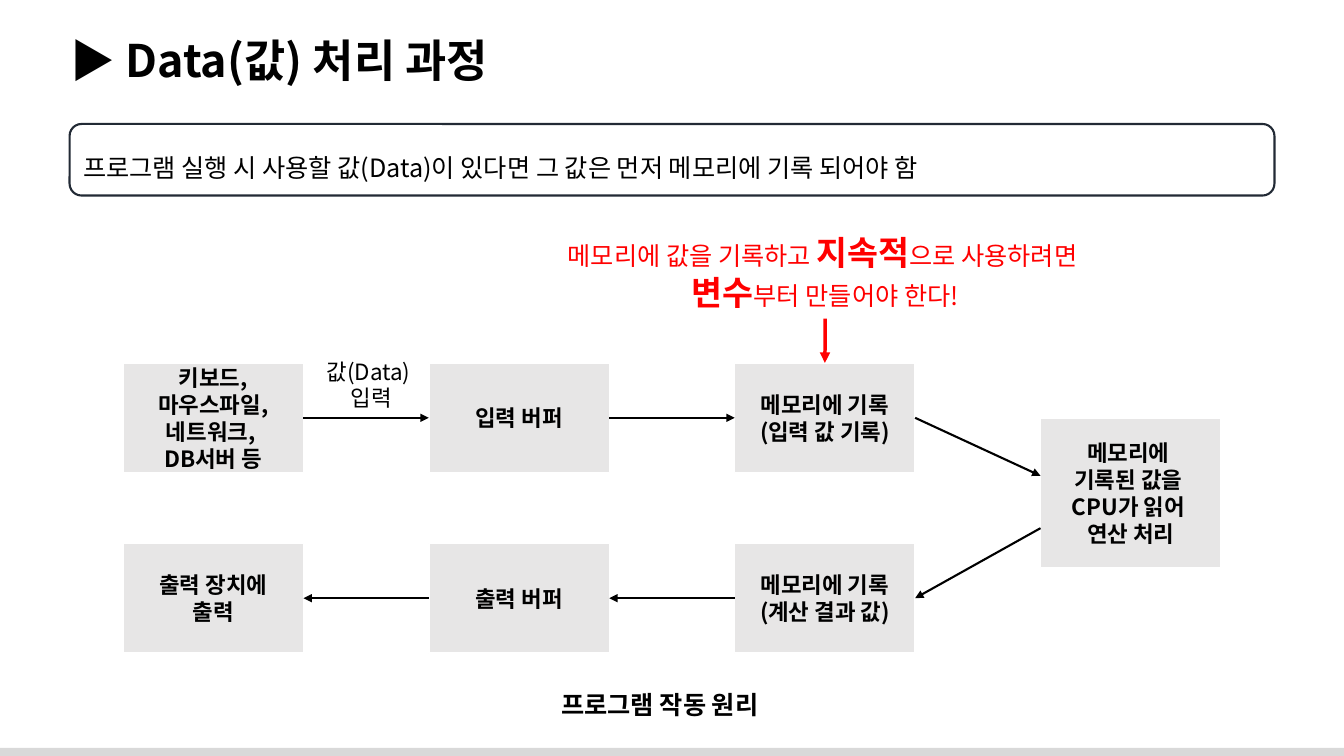
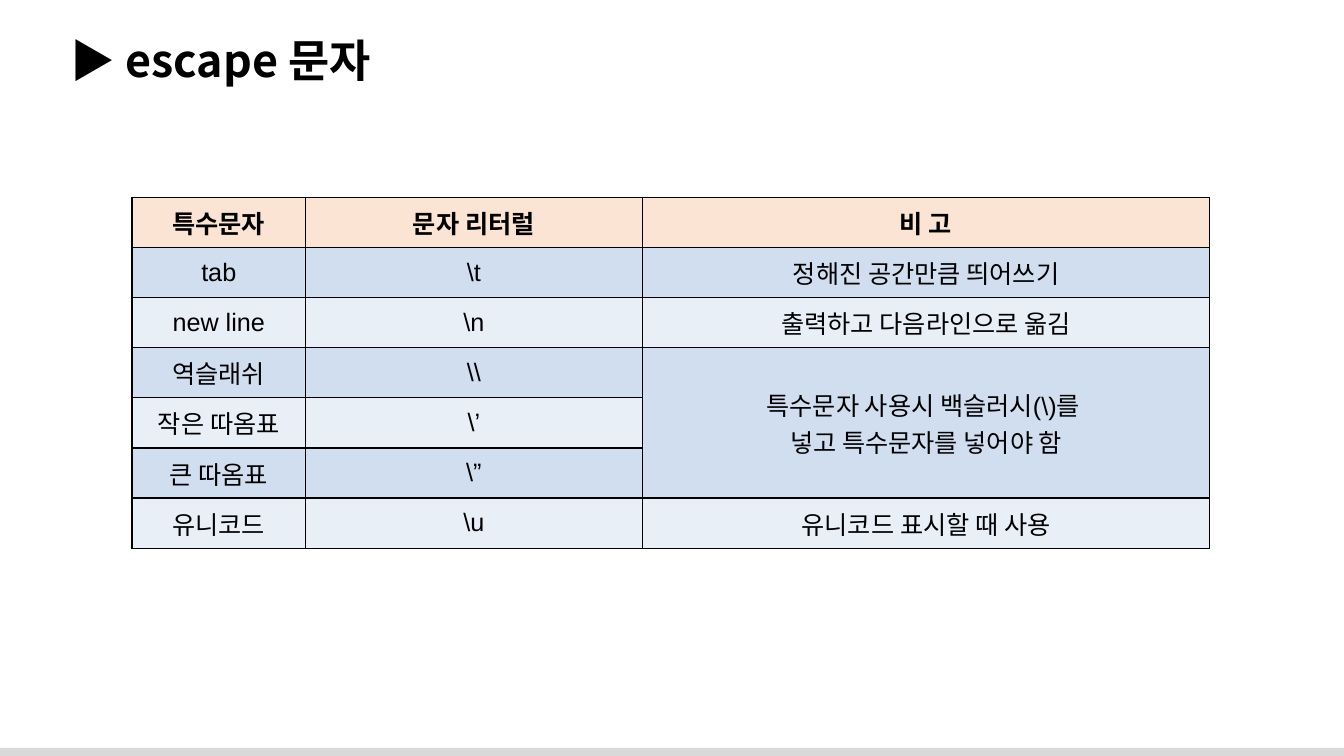
from dataclasses import dataclass

from lxml.etree import SubElement
from pptx import Presentation
from pptx.dml.color import RGBColor
from pptx.enum.shapes import MSO_CONNECTOR, MSO_SHAPE
from pptx.enum.text import MSO_ANCHOR, PP_ALIGN
from pptx.oxml import parse_xml
from pptx.oxml.ns import nsdecls, qn
from pptx.util import Inches, Pt


@dataclass(frozen=True)
class Theme:
    font: str = "Noto Sans CJK KR"
    table_font: str = "Arial"
    ink: str = "000000"
    accent: str = "FF0000"
    outline: str = "222A35"
    node: str = "E7E6E6"
    paper: str = "FFFFFF"
    band: str = "D9D9D9"
    header: str = "FBE4D4"
    row_dark: str = "D0DEEF"
    row_light: str = "E9EFF7"
    title: int = 32
    strong: int = 24
    body: int = 18
    small: int = 16


T = Theme()
SLIDE_W, SLIDE_H = 13.33, 7.5
MARGINS = dict(margin_left=Inches(0.1), margin_right=Inches(0.1),
               margin_top=Inches(0.05), margin_bottom=Inches(0.05))


def apply(obj, **values):
    for name, value in values.items():
        setattr(obj, name, value)


def inches(box):
    return [Inches(v) for v in box]


def add_run(p, text, size, bold=False, color=T.ink, font=T.font):
    r = p.add_run()
    r.text = text
    apply(r.font, size=Pt(size), bold=bold, name=font)
    r.font.color.rgb = RGBColor.from_string(color)
    SubElement(r.font._element, qn("a:ea")).set("typeface", T.font)


def write(tf, lines, size=T.body, align=PP_ALIGN.CENTER, spacing=None, **style):
    for i, line in enumerate(lines):
        p = tf.add_paragraph() if i else tf.paragraphs[0]
        apply(p, alignment=align, line_spacing=spacing)
        runs = [(line, {})] if isinstance(line, str) else line
        for text, extra in runs:
            add_run(p, text, **{"size": size, **style, **extra})


def add_text(s, box, lines, **style):
    sp = s.shapes.add_textbox(*inches(box))
    apply(sp.text_frame, word_wrap=True, **MARGINS)
    write(sp.text_frame, lines, **style)
    return sp


def add_box(s, box, fill=None, line=None, width=1, kind=MSO_SHAPE.RECTANGLE):
    sp = s.shapes.add_shape(kind, *inches(box))
    sp.shadow.inherit = False
    if fill:
        sp.fill.solid()
        sp.fill.fore_color.rgb = RGBColor.from_string(fill)
    else:
        sp.fill.background()
    if line:
        sp.line.color.rgb = RGBColor.from_string(line)
        sp.line.width = Pt(width)
    else:
        sp.line.fill.background()
    apply(sp.text_frame, word_wrap=True, vertical_anchor=MSO_ANCHOR.MIDDLE, **MARGINS)
    return sp


def add_arrow(s, begin, end, color=T.ink, width=1.5):
    ends = [(0, 0) if hasattr(e[0], "shape_id") else inches(e) for e in (begin, end)]
    cx = s.shapes.add_connector(MSO_CONNECTOR.STRAIGHT, *ends[0], *ends[1])
    for e, join in ((begin, cx.begin_connect), (end, cx.end_connect)):
        if hasattr(e[0], "shape_id"):
            join(*e)
    cx.line.color.rgb = RGBColor.from_string(color)
    cx.line.width = Pt(width)
    spPr = cx.element.spPr
    SubElement(spPr.find(qn("a:ln")), qn("a:tailEnd")).set("type", "triangle")
    SubElement(spPr, qn("a:effectLst"))


def add_slide(prs, title):
    s = prs.slides.add_slide(prs.slide_layouts[6])
    add_text(s, (0.6, 0.28, 12.6, 0.64), [f"▶ {title}"],
             size=T.title, bold=True, align=PP_ALIGN.LEFT)
    return s


def add_master_band(prs, s):
    band = add_box(s, (0, 7.42, SLIDE_W, SLIDE_H - 7.42), T.band)
    prs.slide_master.shapes.element.append(band.element)


def add_note(s, box, text):
    sp = add_box(s, box, line=T.outline, width=1.5, kind=MSO_SHAPE.ROUNDED_RECTANGLE)
    write(sp.text_frame, [text], align=PP_ALIGN.LEFT, spacing=1.5)


def add_flow(s, box):
    left, top, width, height = box
    node_w, node_h, cpu_h = 1.79, 1.09, 1.48
    step = (width - node_w) / 3
    cpu_x, cpu_y = left + 3 * step, top + 0.55

    def node(x, y, h, lines):
        sp = add_box(s, (x, y, node_w, h), T.node, T.paper)
        write(sp.text_frame, lines, size=T.small, bold=True)
        return sp

    rows = [
        [["키보드, 마우스파일, 네트워크, ", "DB서버 등"], ["입력 버퍼"],
         ["메모리에 기록", "(입력 값 기록)"]],
        [["출력 장치에", "출력"], ["출력 버퍼"], ["메모리에 기록", "(계산 결과 값)"]],
    ]
    inputs, outputs = [
        [node(left + col * step, y, node_h, lines) for col, lines in enumerate(row)]
        for y, row in zip((top, top + height - node_h), rows)
    ]
    node(cpu_x, cpu_y, cpu_h, ["메모리에 ", "기록된 값을 ", "CPU가 읽어 ", "연산 처리"])

    for a, b in zip(inputs, inputs[1:]):
        add_arrow(s, (a, 3), (b, 1))
    for a, b in zip(outputs, outputs[1:]):
        add_arrow(s, (b, 1), (a, 3))
    add_arrow(s, (inputs[-1], 3), (cpu_x, cpu_y + 0.57))
    add_arrow(s, (cpu_x, cpu_y + 1.09), (outputs[-1], 3))
    add_text(s, (left + 1.9, top - 0.1, 1.12, 0.64), ["값(Data) ", "입력"], size=T.small)
    return inputs[-1]


def add_callout(s, box, target):
    strong = dict(size=T.strong, bold=True)
    sp = add_text(s, box, [
        [("메모리에 값을 기록하고 ", {}), ("지속적", strong), ("으로 사용하려면 ", {})],
        [("변수", strong), ("부터 만들어야 한다!", {})],
    ], color=T.accent)
    add_arrow(s, (sp, 2), (target, 0), T.accent, 2.5)


def add_borders(cell):
    tcPr = cell._tc.get_or_add_tcPr()
    for i, side in enumerate("LRTB"):
        tcPr.insert(i, parse_xml(
            f'<a:ln{side} {nsdecls("a")} w="{Pt(1)}"><a:solidFill>'
            f'<a:srgbClr val="{T.ink}"/></a:solidFill></a:ln{side}>'))


def add_grid(s, box, shares, rows, merges):
    tbl = s.shapes.add_table(len(rows), len(shares), *inches(box)).table
    apply(tbl, first_row=False, horz_banding=False)
    for col, share in zip(tbl.columns, shares):
        col.width = Inches(box[2] * share / sum(shares))
    for i, row in enumerate(rows):
        tbl.rows[i].height = Inches(box[3] / len(rows))
        fill = (T.row_dark if i % 2 else T.row_light) if i else T.header
        for j, lines in enumerate(row):
            cell = tbl.cell(i, j)
            cell.fill.solid()
            cell.fill.fore_color.rgb = RGBColor.from_string(fill)
            apply(cell, vertical_anchor=MSO_ANCHOR.MIDDLE, **MARGINS)
            add_borders(cell)
            if lines:
                write(cell.text_frame, lines.split("\n"), bold=i == 0, font=T.table_font)
    for first, last in merges:
        tbl.cell(*first).merge(tbl.cell(*last))


def build_process(prs):
    s = add_slide(prs, "Data(값) 처리 과정")
    add_master_band(prs, s)
    add_note(s, (0.69, 1.23, 11.95, 0.71),
             "프로그램 실행 시 사용할 값(Data)이 있다면 그 값은 먼저 메모리에 기록 되어야 함")
    memory = add_flow(s, (1.22, 3.6, 10.89, 2.88))
    add_callout(s, (5.21, 2.25, 5.95, 0.91), memory)
    add_text(s, (5.47, 6.79, 2.4, 0.4), ["프로그램 작동 원리"],
             bold=True, align=PP_ALIGN.LEFT)


def build_escape(prs):
    s = add_slide(prs, "escape 문자")
    rows = [
        ("특수문자", "문자 리터럴", "비 고"),
        ("tab", r"\t", "정해진 공간만큼 띄어쓰기"),
        ("new line", r"\n", "출력하고 다음라인으로 옮김"),
        ("역슬래쉬", r"\\", "특수문자 사용시 백슬러시(\\)를 \n넣고 특수문자를 넣어야 함"),
        ("작은 따옴표", r"\’", ""),
        ("큰 따옴표", r"\”", ""),
        ("유니코드", r"\u", "유니코드 표시할 때 사용"),
    ]
    add_grid(s, (1.31, 1.96, 10.69, 3.48), (1.72, 3.34, 5.63), rows, [((3, 2), (5, 2))])


def main():
    prs = Presentation()
    apply(prs, slide_width=Inches(SLIDE_W), slide_height=Inches(SLIDE_H))
    build_process(prs)
    build_escape(prs)
    prs.save("out.pptx")


if __name__ == "__main__":
    main()
